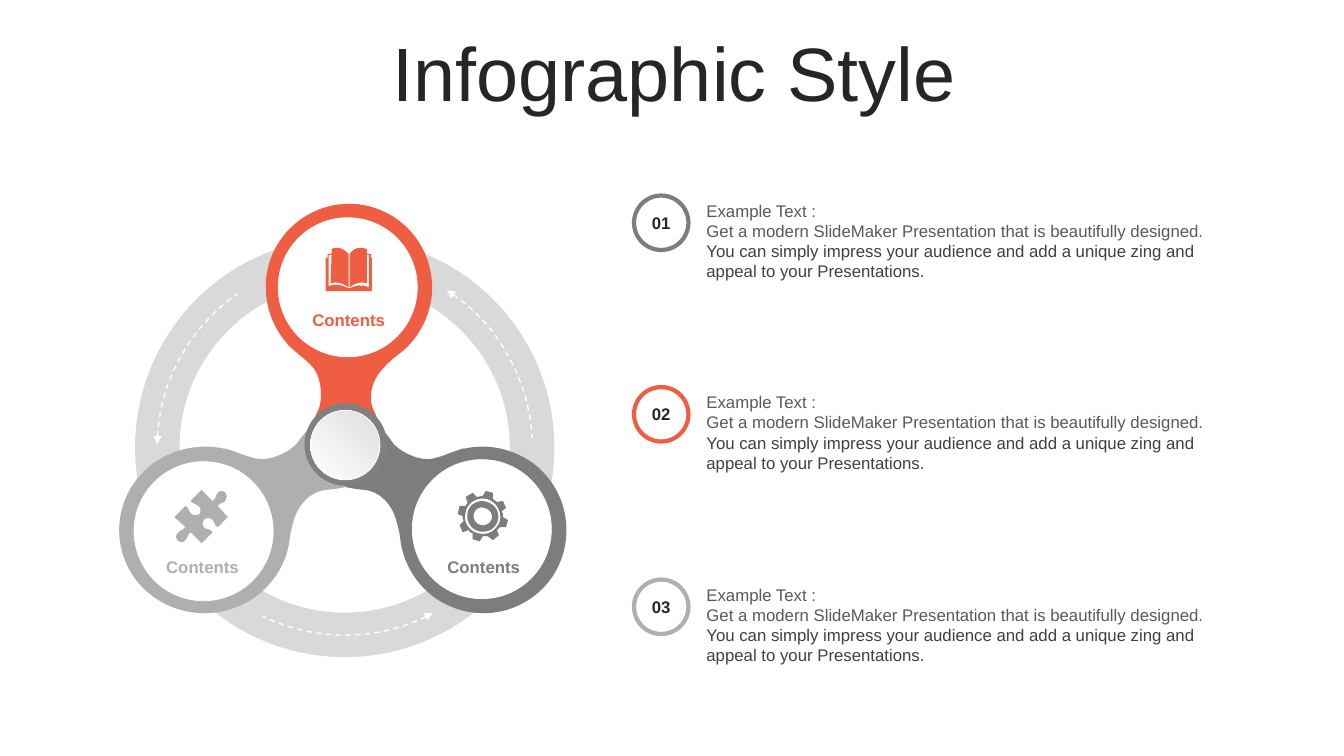
from lxml import etree
from pptx import Presentation
from pptx import util as u
from pptx.dml.color import RGBColor
from pptx.enum import dml, shapes, text
from pptx.oxml import parse_xml
from pptx.oxml.ns import nsdecls, qn

PX = 9144  # EMU per px, 100 px to the inch
FONT = "Arial"
ORANGE, DARK, LIGHT = "EF5E42", "7D7D7D", "AFAFAF"
WHITE, INK, RING = "FFFFFF", "262626", "D9D9D9"

TITLE = "Infographic Style"
EXAMPLE = [
    [("Example Text :", "595959")],
    [("Get a modern SlideMaker Presentation that is beautifully designed. ", "595959"),
     ("You can simply impress your audience and add a unique zing and appeal "
      "to your Presentations.", "404040")],
]
ITEMS = [("01", DARK), ("02", ORANGE), ("03", LIGHT)]

# Outlines: M move, L line, C cubic curve, Z close
ARM = """M 528 459 C 508 445 484 440 461 445 C 460 445 460 445 459 445
C 454 447 450 448 445 450 C 440 452 434 454 429 455 C 414 458 393 446 388 437
C 382 428 375 422 375 422 L 367 437 L 350 468 L 342 483 C 342 483 350 485 361 486
C 377 487 389 501 393 516 C 397 528 397 536 398 541 C 402 561 413 579 430 592
C 467 619 518 612 546 575 C 573 538 565 486 528 459 Z"""
PUZZLE = """M 224 489 C 225 491 226 494 224 496 C 222 500 219 498 216 502 L 226 513
L 216 523 C 212 521 214 518 210 515 C 208 513 205 514 203 515 C 201 517 200 521 203 524
C 206 526 208 524 211 528 L 200 539 L 189 528 C 185 532 187 533 184 536
C 182 539 178 538 176 536 C 174 534 174 531 176 529 C 178 526 181 527 184 523
L 173 513 L 184 502 C 188 504 187 508 190 510 C 192 512 196 511 198 510
C 199 508 200 504 197 502 C 194 499 193 501 189 497 L 200 486 L 211 497
C 215 494 213 493 216 489 C 218 486 222 487 224 489 Z"""
BOOK = """M 346 286 L 347 286 C 354 283 358 282 366 285 L 366 253 L 364 253
L 364 281 C 359 279 352 281 347 285 L 347 252 C 350 248 353 246 357 246
C 359 246 361 246 364 247 L 364 252 L 368 252 L 368 256 L 369 256 L 369 289 L 323 289
L 323 256 L 325 256 L 325 252 L 329 252 L 329 247 C 331 246 333 246 335 246
C 339 246 342 248 346 252 L 346 285 C 340 281 334 279 328 281 L 329 253 L 326 253
L 326 284 C 334 281 339 283 346 286 Z"""
GEAR = """M 481 504 C 476 502 471 505 470 510 C 469 515 472 520 477 521
C 481 522 486 520 488 515 C 489 510 486 505 481 504 Z
M 483 498 C 491 500 496 508 494 516 C 492 525 483 529 475 527
C 467 525 462 517 464 508 C 466 500 475 495 483 498 Z
M 483 495 C 474 493 464 498 462 508 C 459 517 465 527 474 529
C 484 532 493 526 496 517 C 498 508 493 498 483 495 Z
M 489 489 L 489 495 C 490 496 492 497 493 498 L 499 497 L 502 504 L 498 507
C 499 509 499 511 499 513 L 504 516 L 502 523 L 496 523 C 495 524 494 525 493 526
L 495 531 L 489 536 L 484 532 C 483 532 481 532 479 532 L 476 537 L 469 535 L 469 529
C 467 529 466 528 465 526 L 459 528 L 456 521 L 460 517 C 459 516 459 514 459 512
L 454 510 L 456 502 L 462 502 C 462 501 463 500 464 499 L 462 493 L 469 489 L 473 493
C 475 493 477 492 479 492 L 482 487 Z"""

# White disc corner, label corner, icon, colour
DISCS = [((276, 216), (286, 302), BOOK, ORANGE),
         ((409, 456), (420, 547), GEAR, DARK),
         ((133, 458), (141, 547), PUZZLE, LIGHT)]
ARC_TURNS = [0, 122, 241]
ARC_SPAN = (181, 235)


def px(*lengths):
    return [u.Emu(round(length * PX)) for length in lengths]


def colour(value):
    return RGBColor.from_string(value)


def paint(shape, fill=None, line=None, weight=0.5):
    shape.shadow.inherit = False
    if fill:
        shape.fill.solid()
        shape.fill.fore_color.rgb = colour(fill)
    else:
        shape.fill.background()
    if line:
        shape.line.color.rgb = colour(line)
        shape.line.width = u.Pt(weight)
    else:
        shape.line.fill.background()
    return shape


def write(shape, lines, size=12, bold=False, align=text.PP_ALIGN.LEFT,
          anchor=text.MSO_ANCHOR.TOP, spacing=None):
    frame = shape.text_frame
    frame.word_wrap = True
    frame.vertical_anchor = anchor
    for index, runs in enumerate(lines):
        paragraph = frame.add_paragraph() if index else frame.paragraphs[0]
        paragraph.alignment = align
        paragraph.space_before = u.Pt(0)
        if spacing:
            paragraph.line_spacing = spacing
        for words, ink in runs:
            run = paragraph.add_run()
            run.text = words
            run.font.name, run.font.size, run.font.bold = FONT, u.Pt(size), bold
            run.font.color.rgb = colour(ink)


def draw(slide, outline, fill, place=lambda x: x):
    """Lay every point with straight segments, then join each curve's three into one."""
    builder, commands = None, []
    tokens = iter(outline.split())
    for command in tokens:
        commands.append(command)
        if command == "Z":
            builder.add_line_segments([], close=True)
            continue
        points = []
        for _ in range(3 if command == "C" else 1):
            points.append(tuple(px(place(int(next(tokens))), int(next(tokens)))))
        if command != "M":
            builder.add_line_segments(points, close=False)
        elif builder is None:
            builder = slide.shapes.build_freeform(*points[0], scale=1.0)
        else:
            builder.move_to(*points[0])
    shape = builder.convert_to_shape()
    segments = iter(list(next(shape._element.iter(qn("a:path")))))
    for command in commands:
        first = next(segments)
        if command == "C":
            first.tag = qn("a:cubicBezTo")
            for _ in range(2):
                segment = next(segments)
                first.append(segment[0])
                segment.getparent().remove(segment)
    # Reload the outline so that its renamed elements are read afresh
    geometry = next(shape._element.iter(qn("a:custGeom")))
    geometry.getparent().replace(geometry, parse_xml(etree.tostring(geometry)))
    return paint(shape, fill)


def add(slide, kind, left, top, width, height, **look):
    return paint(slide.shapes.add_shape(kind, *px(left, top, width, height)), **look)


def main():
    presentation = Presentation()
    presentation.slide_width, presentation.slide_height = u.Emu(12192000), u.Emu(6858000)
    slide = presentation.slides.add_slide(presentation.slide_layouts[5])
    kinds = shapes.MSO_SHAPE
    center, middle = text.PP_ALIGN.CENTER, text.MSO_ANCHOR.MIDDLE

    # Title
    title = slide.shapes.title
    title.left, title.top, title.width, title.height = px(36, 37, 1266, 79)
    write(title, [[(TITLE, INK)]], size=54, align=center, anchor=middle, spacing=0.9)

    # Ring and three arms: right, top (turned) and left (mirrored)
    ring = add(slide, kinds.DONUT, 134, 236, 416, 416, fill=RING)
    ring.adjustments[0] = 0.106
    draw(slide, ARM, DARK)
    top_arm = draw(slide, ARM, ORANGE)
    top_arm.left, top_arm.top = px(237, 208)
    top_arm.rotation = 240
    draw(slide, ARM, LIGHT, place=lambda x: 108 + (572 - x) * 236 / 230)

    # White discs and hub
    for corner, _, _, _ in DISCS:
        add(slide, kinds.OVAL, *corner, 138, 138, fill=WHITE, line=WHITE)
    add(slide, kinds.OVAL, 302, 400, 82, 82, fill="808080")
    hub = add(slide, kinds.OVAL, 308, 407, 69, 69, fill=WHITE, line=WHITE)
    hub.fill.gradient()
    hub.fill.gradient_angle = 225
    for stop, shade, position in zip(hub.fill.gradient_stops, ("DEDEDE", WHITE), (0, 1)):
        stop.color.rgb = colour(shade)
        stop.position = position

    # Dashed arrows along the ring
    for turn in ARC_TURNS:
        arc = add(slide, kinds.ARC, 156, 258, 372, 372, line=WHITE, weight=1)
        for index, degrees in enumerate(ARC_SPAN):
            arc.adjustments[index] = degrees * 0.6
        arc.rotation = turn
        arc.line.dash_style = dml.MSO_LINE.DASH
        arc.line._get_or_add_ln().append(
            parse_xml(f'<a:headEnd {nsdecls("a")} type="triangle"/>'))

    # Numbered examples
    for index, (number, accent) in enumerate(ITEMS):
        top = 194 + index * 381 // 2
        box = slide.shapes.add_textbox(*px(691, top, 535, 91))
        write(box, EXAMPLE)
        badge = add(slide, kinds.OVAL, 629, top, 54, 54, line=accent, weight=3)
        badge.text_frame.margin_left = badge.text_frame.margin_right = 0
        write(badge, [[(number, INK)]], bold=True, align=center, anchor=middle)

    # Labels and icons on the discs
    for _, corner, icon, accent in DISCS:
        label = slide.shapes.add_textbox(*px(*corner, 120, 30))
        write(label, [[("Contents", accent)]], bold=True, align=center)
        draw(slide, icon, accent)

    presentation.save("out.pptx")


if __name__ == "__main__":
    main()
